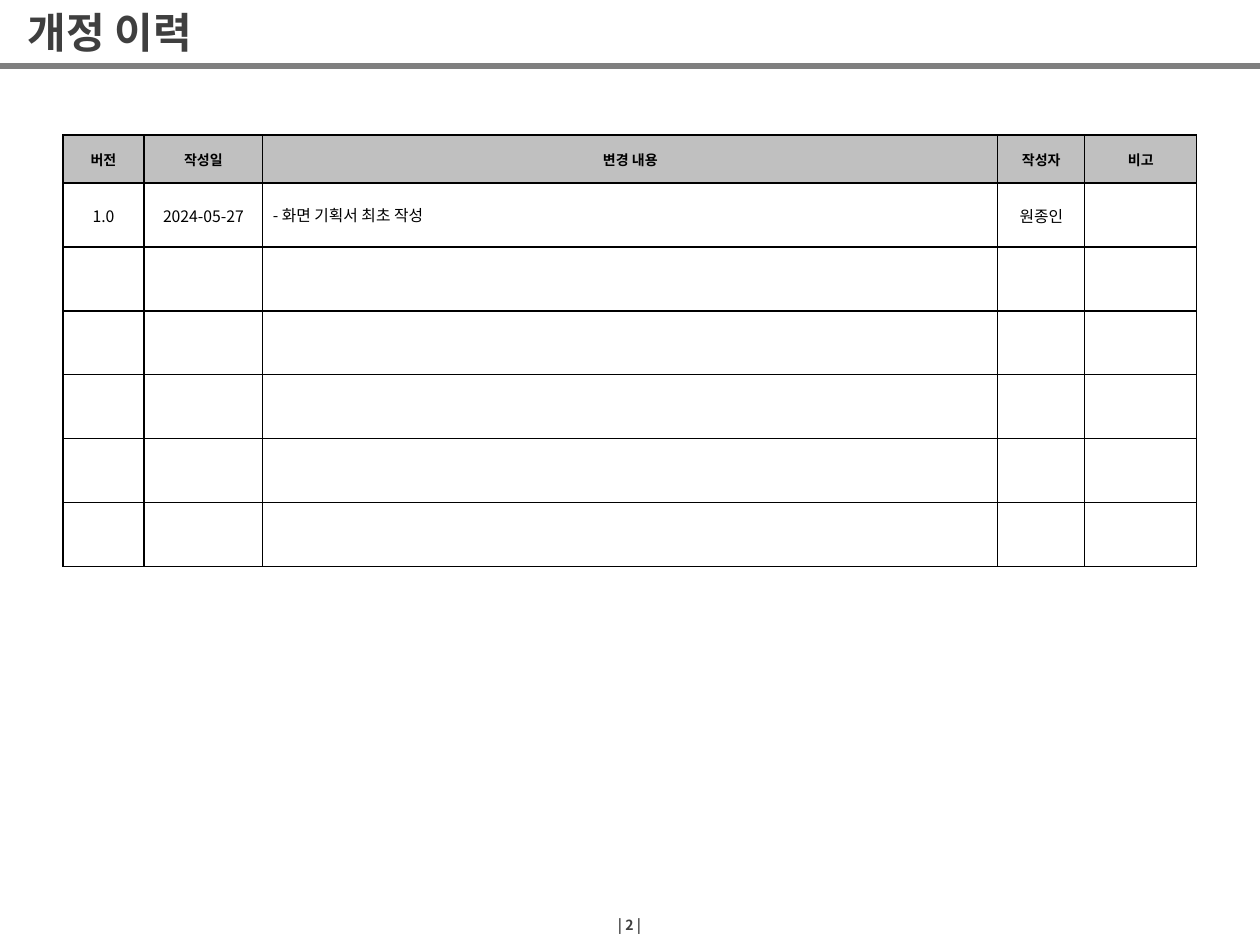
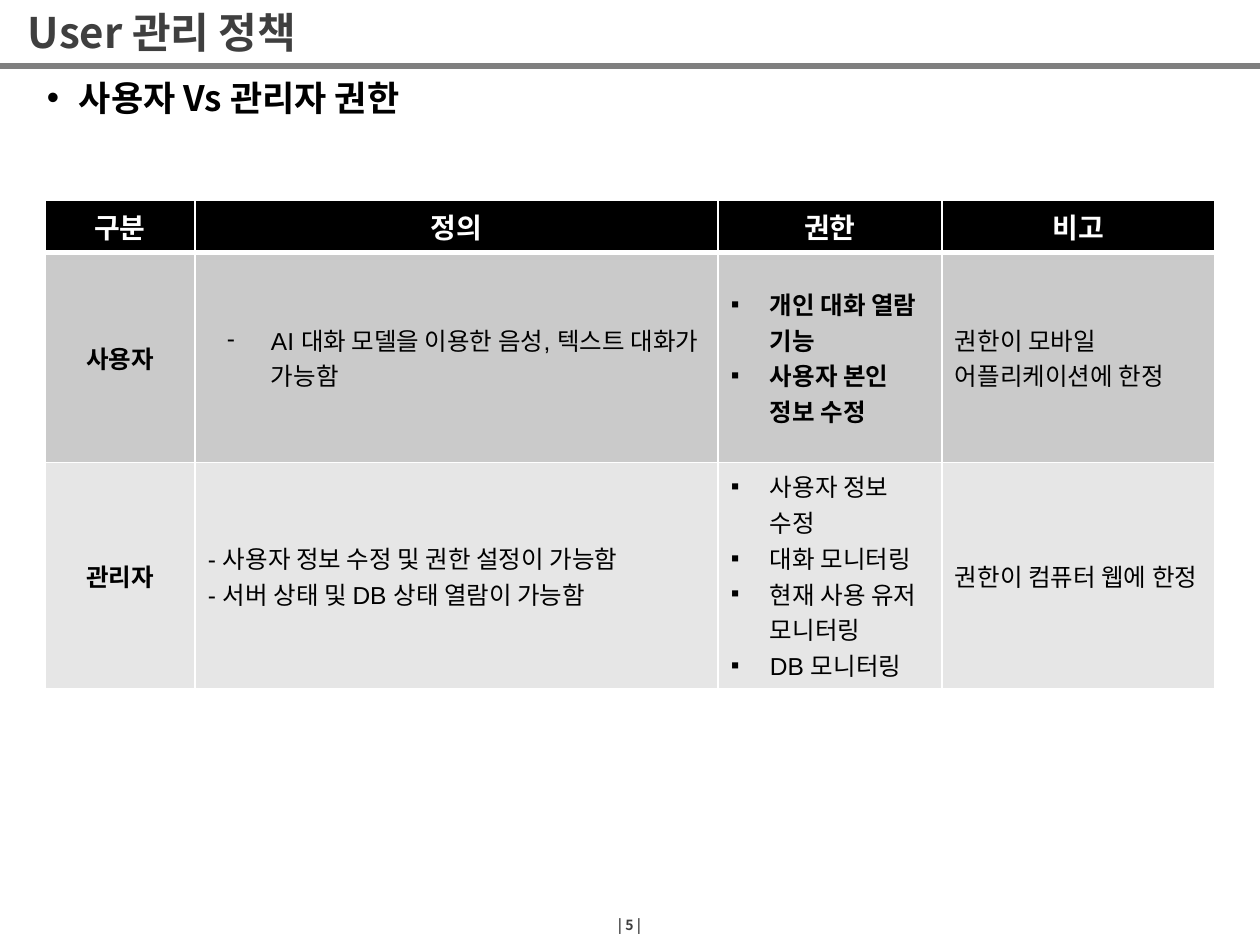
from lxml.etree import SubElement
from pptx import Presentation
from pptx.dml.color import RGBColor as RGB
from pptx.enum.shapes import MSO_SHAPE as Shape
from pptx.enum.text import MSO_ANCHOR as Anchor, MSO_AUTO_SIZE as AutoSize, PP_ALIGN as Align
from pptx.oxml.ns import qn
from pptx.util import Pt

BLACK, WHITE = RGB(0x00, 0x00, 0x00), RGB(0xFF, 0xFF, 0xFF)
INK, BAND = RGB(0x3F, 0x3F, 0x3F), RGB(0x7F, 0x7F, 0x7F)
HEAD_GREY = RGB(0xC0, 0xC0, 0xC0)
ROW_GREYS = RGB(0xCA, 0xCA, 0xCA), RGB(0xE6, 0xE6, 0xE6)
KOREAN, LATIN = "Noto Sans CJK KR", "Arial"

PX = 914400 / 126
SLIDE_BOX = 0, 0, 1260, 945
TITLE_ONLY = 5
INSETS = 13, 6, 13, 6
TIGHT, NOTE = (1, 1, 1, 0), (10, 3, 8, 3)
SQUARE = dict(bullet="▪", indent=39, hang=39)
DASH = dict(bullet="-", indent=63, hang=44)


def px(n):
    return round(n * PX)


def set_attrs(target, values):
    for name, value in values.items():
        setattr(target, name, value)


def set_margins(target, insets):
    names = "margin_left", "margin_top", "margin_right", "margin_bottom"
    set_attrs(target, {n: px(v) for n, v in zip(names, insets)})


def add_bullet(p, char, indent, hang, color):
    pPr = p._p.get_or_add_pPr()
    pPr.set("marL", str(px(indent)))
    pPr.set("indent", str(-px(hang)))
    SubElement(SubElement(pPr, qn("a:buClr")), qn("a:srgbClr"), val=str(color))
    SubElement(pPr, qn("a:buFont"), typeface=LATIN)
    SubElement(pPr, qn("a:buChar"), char=char)


def write(tf, text, size, color=BLACK, bold=False, align=Align.LEFT, font=KOREAN,
          spacing=None, bullet=None, indent=0, hang=0):
    """Write each line of the text as a paragraph of one format."""
    for i, line in enumerate(text.split("\n")):
        p = tf.add_paragraph() if i else tf.paragraphs[0]
        set_attrs(p, dict(alignment=align, line_spacing=spacing))
        if bullet:
            add_bullet(p, bullet, indent, hang, color)
        r = p.add_run()
        r.text = line
        set_attrs(r.font, dict(name=font, size=Pt(size), bold=bold))
        r.font.color.rgb = color
        SubElement(r._r.get_or_add_rPr(), qn("a:ea"), typeface=KOREAN)


def format_frame(tf, anchor):
    set_attrs(tf, dict(word_wrap=True, auto_size=AutoSize.NONE, vertical_anchor=anchor))
    set_margins(tf, INSETS)


def add_text(s, box, text, anchor=Anchor.MIDDLE, **fmt):
    tf = s.shapes.add_textbox(*map(px, box)).text_frame
    format_frame(tf, anchor)
    write(tf, text, **fmt)


def add_frame(prs, box, title, page):
    """Slide with its title, band and page number."""
    x, y, w, h = box
    s = prs.slides.add_slide(prs.slide_layouts[TITLE_ONLY])

    # Band under the title
    band = s.shapes.add_shape(Shape.RECTANGLE, px(x), px(y + 63), px(w), px(6))
    band.shadow.inherit = False
    band.fill.solid()
    band.fill.fore_color.rgb = BAND
    band.line.fill.background()

    # Title
    sp = s.shapes.title
    place = dict(left=x + 15, top=y + 6, width=w - 198, height=57)
    set_attrs(sp, {n: px(v) for n, v in place.items()})
    format_frame(sp.text_frame, Anchor.MIDDLE)
    write(sp.text_frame, title, 24, INK, bold=True, spacing=0.9)

    # Page number
    add_text(s, (x + 581, y + h - 38, 97, 35), f"| {page} |", size=8, color=INK,
             bold=True, align=Align.CENTER)
    return s


def set_borders(cell, color, **widths):
    tcPr = cell._tc.get_or_add_tcPr()
    for side in "LRTB":
        width = Pt(widths.get(side, widths["every"]))
        ln = SubElement(tcPr, qn(f"a:ln{side}"), w=str(width))
        SubElement(SubElement(ln, qn("a:solidFill")), qn("a:srgbClr"), val=str(color))


def add_grid(s, x, y, cols, rows):
    """Plain table with the given column widths and row heights."""
    frame = s.shapes.add_table(len(rows), len(cols), px(x), px(y), px(sum(cols)), px(sum(rows)))
    table = frame.table
    set_attrs(table, dict(first_row=False, horz_banding=False))
    for col, width in zip(table.columns, cols):
        col.width = px(width)
    for row, height in zip(table.rows, rows):
        row.height = px(height)
    return table


def style_cell(cell, fill, insets):
    cell.fill.solid()
    cell.fill.fore_color.rgb = fill
    cell.vertical_anchor = Anchor.MIDDLE
    set_margins(cell, insets)


def add_revision_table(s, box):
    x, y, w, row_h = box
    narrow = 81, 119, 87, 112
    cols = [*narrow[:2], w - sum(narrow), *narrow[2:]]
    heads = ["버전", "작성일", "변경 내용", "작성자", "비고"]
    entries = [["1.0", "2024-05-27", "- 화면 기획서 최초 작성", "원종인", ""]]
    blanks = [[""] * len(cols)] * 5
    table = add_grid(s, x, y, cols, [48] + [row_h] * 6)
    for i, texts in enumerate([heads] + entries + blanks):
        for j, text in enumerate(texts):
            cell = table.cell(i, j)
            is_note = i > 0 and j == 2
            set_borders(cell, BLACK, every=0.75)
            style_cell(cell, WHITE if i else HEAD_GREY, NOTE if is_note else TIGHT)
            if text:
                write(cell.text_frame, text, size=9 if i else 8, bold=i == 0,
                      align=Align.LEFT if is_note else Align.CENTER)


def add_policy_table(s, box):
    x, y, w, row_h = box
    cols = [150, 523, 224, w - 897]
    heads = ["구분", "정의", "권한", "비고"]
    roles = [
        [("사용자", {}),
         ("AI 대화 모델을 이용한 음성, 텍스트 대화가 가능함", DASH),
         ("개인 대화 열람 기능\n사용자 본인 정보 수정", dict(SQUARE, bold=True)),
         ("권한이 모바일 어플리케이션에 한정", {})],
        [("관리자", {}),
         ("- 사용자 정보 수정 및 권한 설정이 가능함\n- 서버 상태 및 DB 상태 열람이 가능함", {}),
         ("사용자 정보 수정\n대화 모니터링\n현재 사용 유저 모니터링\nDB 모니터링", SQUARE),
         ("권한이 컴퓨터 웹에 한정", {})],
    ]
    strong = dict(bold=True, align=Align.CENTER)
    table = add_grid(s, x, y, cols, [52, row_h, row_h])

    # Header row, with a thick rule below
    for j, text in enumerate(heads):
        cell = table.cell(0, j)
        set_borders(cell, WHITE, every=1, B=3)
        style_cell(cell, BLACK, INSETS)
        write(cell.text_frame, text, 16, WHITE, font=LATIN, **strong)

    # One row per role
    for i, (role, fill) in enumerate(zip(roles, ROW_GREYS), 1):
        for j, (text, fmt) in enumerate(role):
            cell = table.cell(i, j)
            set_borders(cell, WHITE, every=1, T=3 if i == 1 else 1)
            style_cell(cell, fill, INSETS)
            write(cell.text_frame, text, 14, font=LATIN, **(fmt if j else strong))


def revision_slide(prs, box):
    x, y, w, h = box
    s = add_frame(prs, box, "개정 이력", 2)
    add_revision_table(s, (x + 63, y + 135, w - 126, 64))


def policy_slide(prs, box):
    x, y, w, h = box
    s = add_frame(prs, box, "User 관리 정책", 5)
    add_text(s, (x + 34, y + 75, w - 69, 59), "사용자 Vs 관리자 권한", Anchor.TOP,
             size=20, bold=True, spacing=0.9, bullet="•", indent=32, hang=32)
    add_policy_table(s, (x + 45, y + 200, w - 90, 210))


def main():
    prs = Presentation()
    set_attrs(prs, dict(slide_width=px(SLIDE_BOX[2]), slide_height=px(SLIDE_BOX[3])))
    revision_slide(prs, SLIDE_BOX)
    policy_slide(prs, SLIDE_BOX)
    prs.save("out.pptx")


if __name__ == "__main__":
    main()
